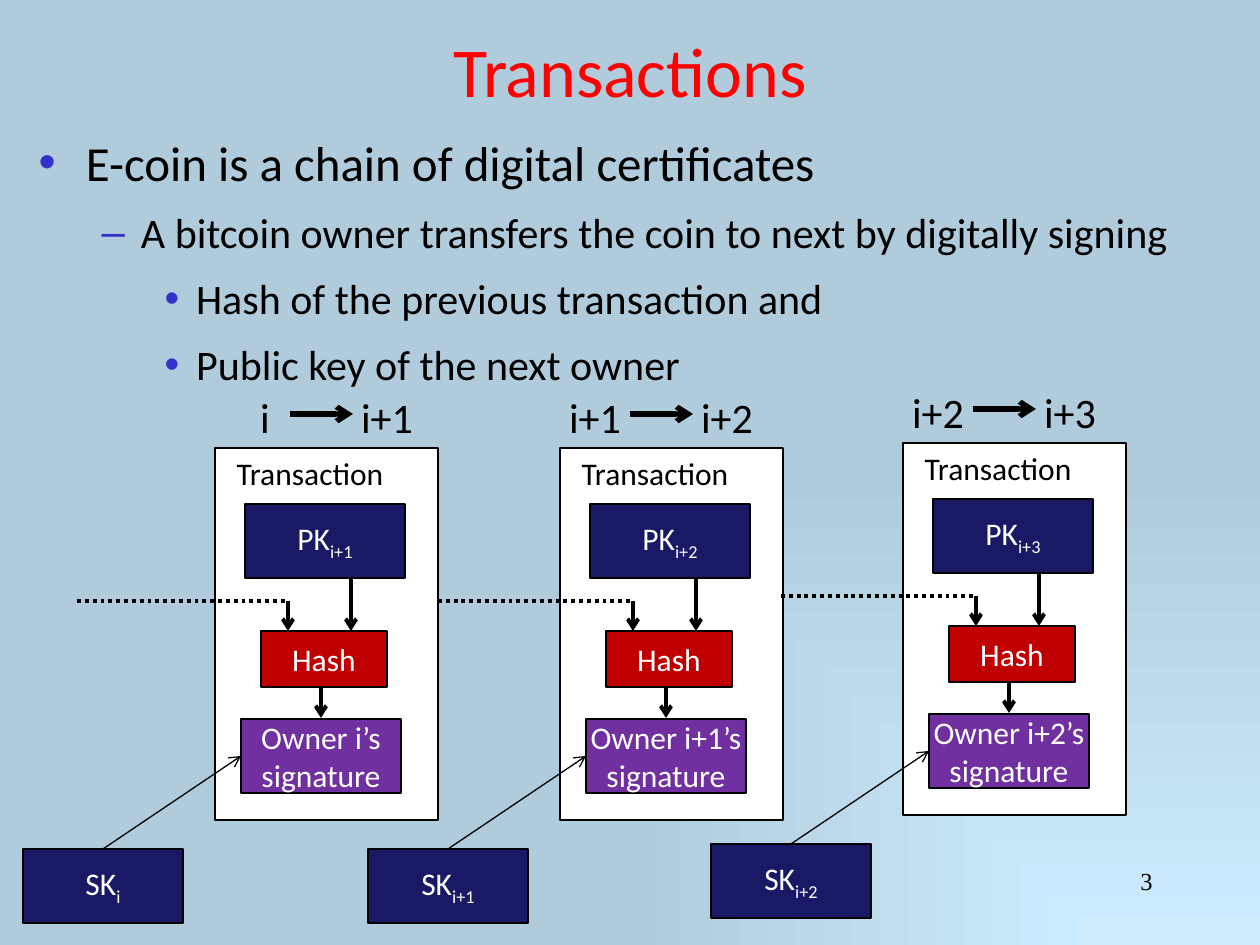
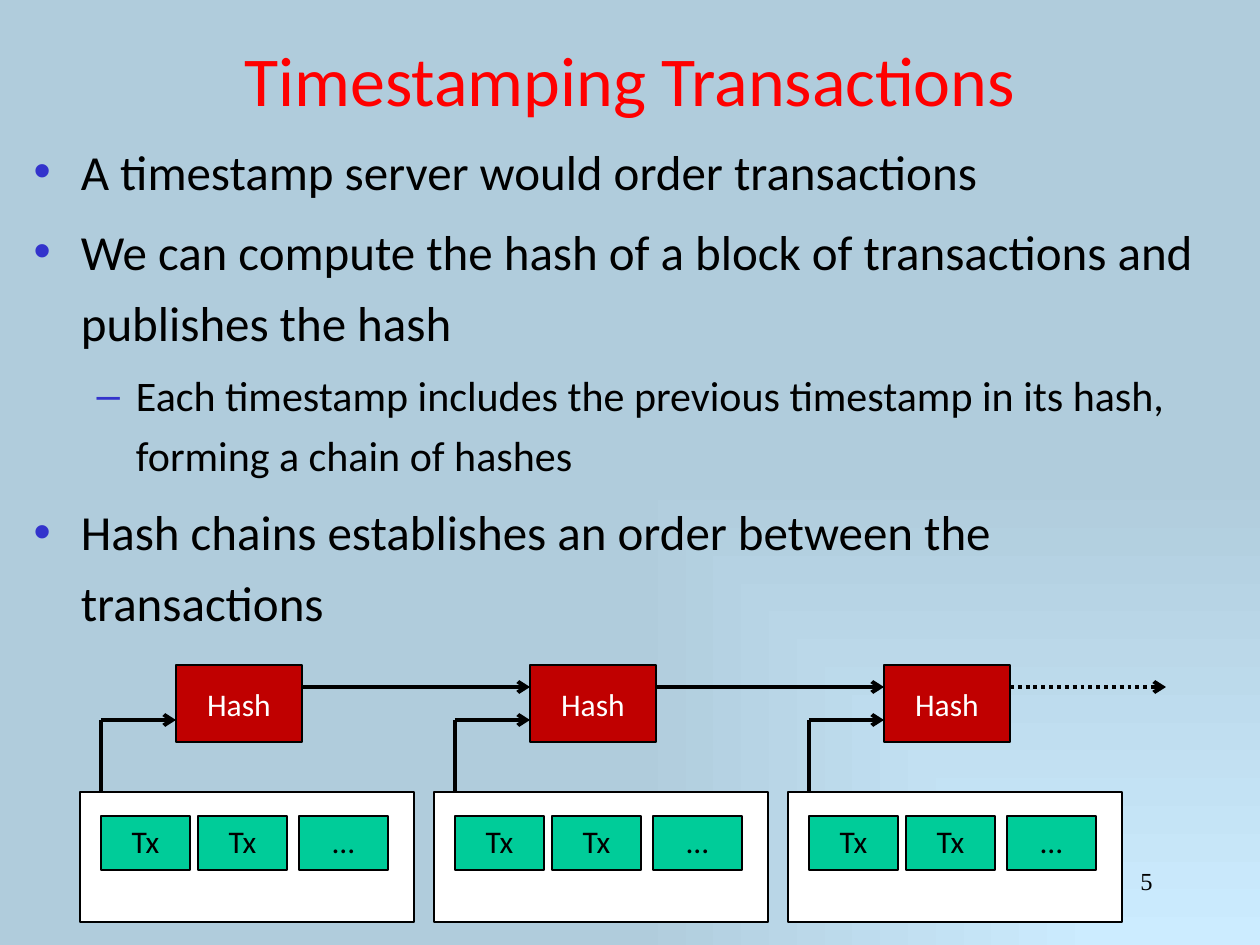
from dataclasses import dataclass
from pptx import Presentation
from pptx.dml.color import RGBColor as Rgb
from pptx.enum.dml import MSO_LINE as Dash
from pptx.enum.shapes import MSO_CONNECTOR as Connector, MSO_SHAPE as Preset
from pptx.enum.text import MSO_ANCHOR as Anchor, MSO_AUTO_SIZE as AutoSize, PP_ALIGN as Align
from pptx.oxml import parse_xml
from pptx.oxml.ns import nsdecls
from pptx.util import Emu, Pt

EMU_PER_PIXEL = 914400 / 126


@dataclass(frozen=True)
class Theme:
    font: str = "Calibri"
    number_font: str = "Times New Roman"
    black: str = "000000"
    white: str = "FFFFFF"
    title: str = "FF0000"
    bullet: str = "3333CC"
    key: str = "191966"
    hash: str = "C00000"
    signature: str = "7030A0"
    item: str = "00CC99"
    glow: str = "CCECFF"
    backdrop: str = "B0CCDC"
    title_size: int = 40
    body_sizes: tuple = (28, 24, 24)
    step_size: int = 24
    box_size: int = 18
    number_size: int = 14
    thin: float = 0.75
    medium: float = 2.25
    thick: float = 3


THEME = Theme()


@dataclass(frozen=True)
class Transfer:
    """One transaction: where it stands and who hands the coin to whom."""
    left: int
    top: int
    owner: str
    receiver: str
    owner_center: int   # the next three are offsets from left
    arrow_start: int
    link_start: int


TRANSFERS = (
    Transfer(215, 448, "i", "i+1", 50, 75, -138),
    Transfer(560, 448, "i+1", "i+2", 35, 70, -122),
    Transfer(903, 443, "i+2", "i+3", 35, 70, -122),
)


# Shared helpers
def px(value):
    return Emu(round(value * EMU_PER_PIXEL))


def color(value):
    return Rgb.from_string(value)


def format_runs(paragraph, size, text_color=THEME.black, font=THEME.font):
    for run in paragraph.runs:
        run.font.size = Pt(size)
        run.font.name = font
        run.font.color.rgb = color(text_color)


def place(shape, left, top, width, height):
    shape.left, shape.top = px(left), px(top)
    shape.width, shape.height = px(width), px(height)


def add_label(slide, text, left, top, width, height, size,
              align=Align.CENTER, font=THEME.font):
    label = slide.shapes.add_textbox(px(left), px(top), px(width), px(height))
    label.text_frame.text = text
    paragraph = label.text_frame.paragraphs[0]
    paragraph.alignment = align
    format_runs(paragraph, size, font=font)
    return label


def add_box(slide, left, top, width, height, fill, text="", subscript="",
            text_color=THEME.white, anchor=Anchor.MIDDLE):
    box = slide.shapes.add_shape(Preset.RECTANGLE, px(left), px(top), px(width), px(height))
    box.shadow.inherit = False
    box.fill.solid()
    box.fill.fore_color.rgb = color(fill)
    box.line.color.rgb = color(THEME.black)
    box.line.width = Pt(THEME.thin)
    if text:
        frame = box.text_frame
        frame.text = text
        frame.vertical_anchor = anchor
        frame.margin_left = frame.margin_right = 0
        paragraph = frame.paragraphs[0]
        paragraph.alignment = Align.CENTER
        if subscript:
            run = paragraph.add_run()
            run.text = subscript
            run._r.get_or_add_rPr().set("baseline", "-25000")
        format_runs(paragraph, THEME.box_size, text_color)


def add_line(slide, start, end, width=THEME.medium, arrow=True, dotted=False):
    line = slide.shapes.add_connector(Connector.STRAIGHT, *map(px, start + end))
    line.line.color.rgb = color(THEME.black)
    line.line.width = Pt(width)
    if dotted:
        line.line.dash_style = Dash.ROUND_DOT
    if arrow:
        line.line._get_or_add_ln().append(
            parse_xml(f'<a:tailEnd {nsdecls("a")} type="arrow"/>'))
    line._element.spPr.append(parse_xml(f'<a:effectLst {nsdecls("a")}/>'))


def set_background(master):
    fill = master.background.fill
    fill.gradient()
    for stop, shade in zip(fill.gradient_stops, (THEME.glow, THEME.backdrop)):
        stop.color.rgb = color(shade)
    # The light spreads from the bottom right corner
    linear = master.element.xpath(".//p:bg//a:gradFill/a:lin")[0]
    linear.getparent().replace(linear, parse_xml(
        f'<a:path {nsdecls("a")} path="rect">'
        '<a:fillToRect l="100000" t="100000"/></a:path>'))


def add_slide(presentation, title, title_height, number):
    slide = presentation.slides.add_slide(presentation.slide_layouts[1])
    heading = slide.shapes.title
    place(heading, 24, 0, 1212, title_height)
    heading.text_frame.text = title
    heading.text_frame.auto_size = AutoSize.NONE
    heading.text_frame.vertical_anchor = Anchor.MIDDLE
    heading.text_frame.paragraphs[0].alignment = Align.CENTER
    format_runs(heading.text_frame.paragraphs[0], THEME.title_size, THEME.title)
    add_label(slide, number, 903, 860, 262, 63, THEME.number_size,
              Align.RIGHT, THEME.number_font)
    return slide


def fill_body(slide, bounds, items, line_spacing):
    """Write (level, text) items; bullets and indents come from the template."""
    body = slide.placeholders[1]
    place(body, *bounds)
    frame = body.text_frame
    frame.text = "\n".join(text for _, text in items)
    frame.auto_size = AutoSize.NONE
    for paragraph, (level, _) in zip(frame.paragraphs, items):
        paragraph.level = level
        paragraph.line_spacing = line_spacing
        paragraph._p.get_or_add_pPr().append(parse_xml(
            f'<a:buClr {nsdecls("a")}><a:srgbClr val="{THEME.bullet}"/></a:buClr>'))
        format_runs(paragraph, THEME.body_sizes[level])


# Slide 1: the chain of transactions
def add_transfer(slide, transfer):
    def at(x, y):
        return transfer.left + x, transfer.top + y

    # Transaction with its key, hash and signature
    add_box(slide, *at(0, 0), 223, 372, THEME.white)
    add_label(slide, "Transaction", *at(8, 0), 174, 50, THEME.box_size).text_frame.word_wrap = False
    add_box(slide, *at(30, 56), 160, 74, THEME.key, "PK", transfer.receiver)
    add_box(slide, *at(26, 271), 160, 74, THEME.signature,
            f"Owner {transfer.owner}’s signature")
    add_box(slide, *at(46, 183), 126, 56, THEME.hash, "Hash")

    # Flow from the previous transaction and the key to the signature
    add_line(slide, at(transfer.link_start, 153), at(73, 153), arrow=False, dotted=True)
    add_line(slide, at(73, 153), at(73, 183))
    add_line(slide, at(136, 130), at(136, 183))
    add_line(slide, at(106, 239), at(106, 270))

    # Secret key that signs
    add_box(slide, *at(-192, 401), 160, 74, THEME.key, "SK", transfer.owner)
    add_line(slide, at(-112, 401), at(26, 308), THEME.thin)

    # Owner and receiver above the transaction
    start = transfer.arrow_start
    add_line(slide, at(start, -34), at(start + 63, -34), THEME.thick)
    for name, center in ((transfer.owner, transfer.owner_center),
                         (transfer.receiver, start + 97)):
        label = add_label(slide, name, *at(center - 39, -63), 78, 63, THEME.step_size)
        label.text_frame.word_wrap = False


def build_transactions(presentation):
    slide = add_slide(presentation, "Transactions", 139, "3")
    fill_body(slide, (26, 118, 1215, 262), (
        (0, "E-coin is a chain of digital certificates"),
        (1, "A bitcoin owner transfers the coin to next by digitally signing"),
        (2, "Hash of the previous transaction and"),
        (2, "Public key of the next owner"),
    ), 1.14)
    for transfer in TRANSFERS:
        add_transfer(slide, transfer)


# Slide 2: the chain of hashed blocks
def add_block(slide, left, chain_length, last):
    add_box(slide, left, 792, 334, 130, THEME.white)
    for offset, text in ((21, "Tx"), (118, "Tx"), (219, "...")):
        add_box(slide, left + offset, 816, 89, 54, THEME.item, text,
                text_color=THEME.black, anchor=Anchor.TOP)
    add_box(slide, left + 96, 665, 126, 77, THEME.hash, "Hash")
    add_line(slide, (left + 21, 720), (left + 21, 792), arrow=False)
    add_line(slide, (left + 21, 720), (left + 96, 720))
    add_line(slide, (left + 222, 687), (left + 222 + chain_length, 687), dotted=last)


def build_timestamping(presentation):
    slide = add_slide(presentation, "Timestamping Transactions", 157, "5")
    fill_body(slide, (21, 123, 1215, 505), (
        (0, "A timestamp server would order transactions"),
        (0, "We can compute the hash of a block of transactions and publishes the hash"),
        (1, "Each timestamp includes the previous timestamp in its hash, "
            "forming a chain of hashes"),
        (0, "Hash chains establishes an order between the transactions"),
    ), 1.2)
    first, step, count = 80, 354, 3
    for index in range(count):
        last = index == count - 1
        add_block(slide, first + index * step, 156 if last else step - 126, last)


def main():
    presentation = Presentation()
    presentation.slide_width, presentation.slide_height = px(1260), px(945)
    set_background(presentation.slide_master)
    build_transactions(presentation)
    build_timestamping(presentation)
    presentation.save("out.pptx")


main()
